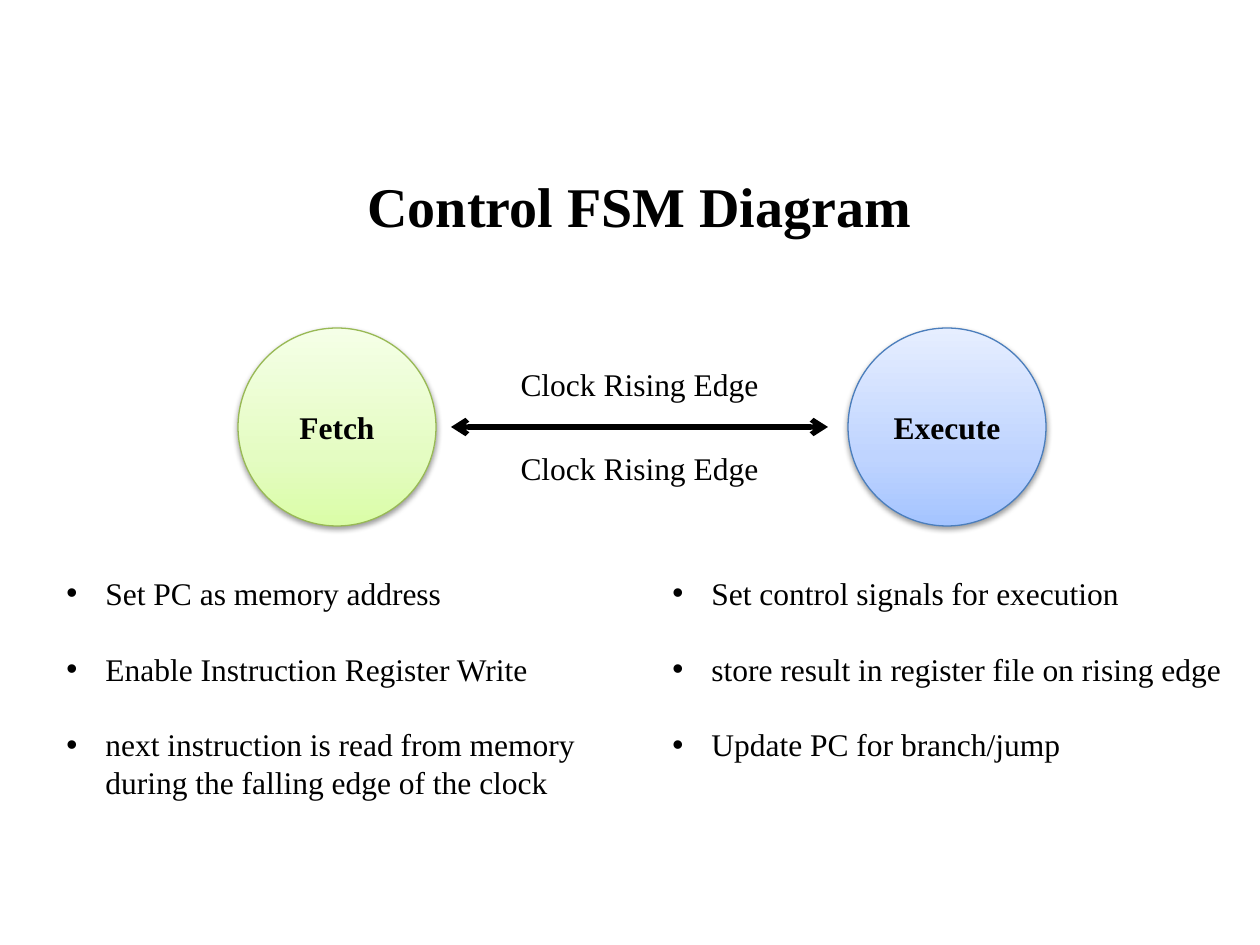
import pptx
import pptx.dml.color
import pptx.enum.shapes
import pptx.enum.text
import pptx.util
import lxml.etree
import copy
from pptx.oxml.ns import qn

PX = 914400 / 126
FONT = "Times New Roman"
COLORS = {
    "text": "000000",
    "fetch_line": "98B955",
    "execute_line": "4B7EBC",
    "fetch_stops": ["DAFDA7", "E4FCC2", "F5FFE7"],
    "execute_stops": ["A4C4FF", "BFD4FF", "E6EEFF"],
}
STOP_POSITIONS = [0, 0.35, 1]
ALIGN = pptx.enum.text.PP_ALIGN
ANCHOR = pptx.enum.text.MSO_ANCHOR
rgb = pptx.dml.color.RGBColor.from_string


def px(*lengths):
    return [round(length * PX) for length in lengths]


def write(shape, *lines, size=18, bold=False, align=ALIGN.CENTER,
          anchor=ANCHOR.TOP, bullet=False, gap=0):
    frame = shape.text_frame
    frame.word_wrap = True
    frame.vertical_anchor = anchor
    for index, line in enumerate(lines):
        para = frame.add_paragraph() if index else frame.paragraphs[0]
        para.alignment = align
        para.space_before = pptx.util.Pt(gap if index else 0)
        span = para.add_run()
        span.text = line
        span.font.name = FONT
        span.font.size = pptx.util.Pt(size)
        span.font.bold = bold
        span.font.color.rgb = rgb(COLORS["text"])
        if bullet:
            indent = px(39)[0]
            properties = para._p.get_or_add_pPr()
            properties.set("marL", str(indent))
            properties.set("indent", str(-indent))
            lxml.etree.SubElement(properties, qn("a:buFont"), typeface="Arial")
            lxml.etree.SubElement(properties, qn("a:buChar"), char="•")


deck = pptx.Presentation()
deck.slide_width, deck.slide_height = px(1260, 945)
page = deck.slides.add_slide(deck.slide_layouts[5])

title = page.shapes.title
title.left, title.top, title.width, title.height = px(337, 165, 605, 81)
write(title, "Control FSM Diagram", size=32, bold=True)

for name, left in (("Fetch", 238), ("Execute", 848)):
    key = name.lower()
    state = page.shapes.add_shape(
        pptx.enum.shapes.MSO_SHAPE.OVAL, *px(left, 328, 198, 198))
    state.fill.gradient()
    state.fill.gradient_angle = 90
    stop_list = state._element.spPr.find(".//" + qn("a:gsLst"))
    stop_list.append(copy.deepcopy(stop_list[0]))
    for stop, position, color in zip(
            state.fill.gradient_stops, STOP_POSITIONS, COLORS[key + "_stops"]):
        stop.position = position
        stop.color.rgb = rgb(color)
    state.line.color.rgb = rgb(COLORS[key + "_line"])
    state.line.width = pptx.util.Pt(0.75)
    state.shadow.inherit = False
    effects = state._element.spPr.find(qn("a:effectLst"))
    shadow = lxml.etree.SubElement(
        effects, qn("a:outerShdw"), blurRad="40000", dist="20000",
        dir="5400000", rotWithShape="0")
    shade = lxml.etree.SubElement(shadow, qn("a:srgbClr"), val=COLORS["text"])
    lxml.etree.SubElement(shade, qn("a:alpha"), val="38000")
    write(state, name, bold=True, anchor=ANCHOR.MIDDLE)

arrow = page.shapes.add_connector(
    pptx.enum.shapes.MSO_CONNECTOR.STRAIGHT, *px(451, 427, 828, 427))
arrow.line.color.rgb = rgb(COLORS["text"])
arrow.line.width = pptx.util.Pt(3)
for end in ("a:headEnd", "a:tailEnd"):
    lxml.etree.SubElement(arrow.line._get_or_add_ln(), qn(end), type="arrow")
lxml.etree.SubElement(arrow._element.spPr, qn("a:effectLst"))

for top in (359, 443):
    label = page.shapes.add_textbox(*px(486, top, 307, 50))
    write(label, "Clock Rising Edge")

for left, height, steps in (
    (54, 242, ("Set PC as memory address",
               "Enable Instruction Register Write",
               "next instruction is read from memory during the falling edge of the clock")),
    (660, 204, ("Set control signals for execution",
                "store result in register file on rising edge",
                "Update PC for branch/jump")),
):
    box = page.shapes.add_textbox(*px(left, 568, 576, height))
    write(box, *steps, align=ALIGN.LEFT, bullet=True, gap=21.6)

deck.save("out.pptx")
